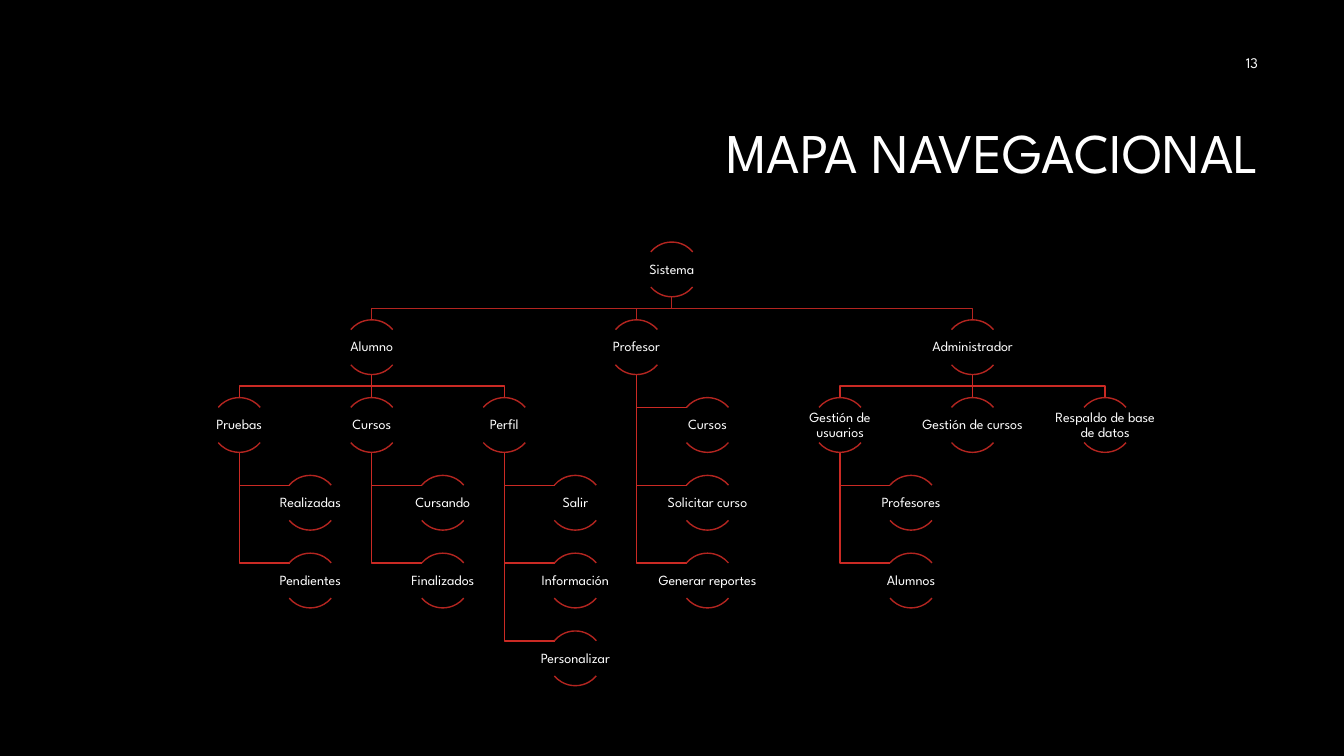
"""Build the navigation map slide."""
import pptx
import pptx.dml.color
import pptx.enum.shapes
import pptx.enum.text
import pptx.oxml
import pptx.util

Cm = pptx.util.Cm
Pt = pptx.util.Pt
ALIGN = pptx.enum.text.PP_ALIGN
FONT = "League Spartan"
INK = {"back": "000000", "text": "FFFFFF", "ring": "B32520", "branch": "CA2A24"}

TOP, PITCH, SIZE = 6.1, 1.96, 1.38
INSET, INDENT, REACH = 0.25, 1.79, 1.27
WIDE, HIGH = 2.77, 0.89
ARCS = ((132, 192), (24, 84))

TREE = ("Sistema", 16.93, [
    ("Alumno", 9.37, [
        ("Pruebas", 6.03, ["Realizadas", "Pendientes"]),
        ("Cursos", 9.37, ["Cursando", "Finalizados"]),
        ("Perfil", 12.71, ["Salir", "Información", "Personalizar"]),
    ]),
    ("Profesor", 16.04, ["Cursos", "Solicitar curso", "Generar reportes"]),
    ("Administrador", 24.51, [
        ("Gestión de usuarios", 21.17, ["Profesores", "Alumnos"]),
        ("Gestión de cursos", 24.51, []),
        ("Respaldo de base de datos", 27.85, []),
    ]),
])


def tint(name):
    return pptx.dml.color.RGBColor.from_string(INK[name])


def top(row):
    return TOP + row * PITCH


def walk(node, row, nodes, links):
    name, x, kids = node
    nodes.append((name, x, row))
    ink = "branch" if row else "ring"
    start = top(row) + SIZE
    for step, kid in enumerate(kids, 1):
        if isinstance(kid, str):
            y = top(row + step) + INSET
            nodes.append((kid, x + INDENT, row + step))
            links.append(([(x, start), (x, y), (x + REACH, y)], ink))
        else:
            end = top(row + 1)
            mid = (start + end) / 2
            path = [(x, start), (x, mid), (kid[1], mid), (kid[1], end)]
            links.append((path, ink))
            walk(kid, row + 1, nodes, links)


def stroke(line, ink):
    line.color.rgb = tint(ink)
    line.width = Pt(1)


def add_link(shapes, path, ink):
    dots = [(Cm(x), Cm(y)) for x, y in path]
    if dots[0][0] == dots[-1][0]:
        kind = pptx.enum.shapes.MSO_CONNECTOR.STRAIGHT
        link = shapes.add_connector(kind, *dots[0], *dots[-1])
        stroke(link.line, ink)
        spot = link._element.spPr
        spot.append(pptx.oxml.parse_xml(
            '<a:effectLst xmlns:a="http://schemas.openxmlformats.org/drawingml/2006/main"/>'))
        return
    pen = shapes.build_freeform(*dots[0])
    pen.add_line_segments(dots[1:], close=False)
    link = pen.convert_to_shape()
    link.fill.background()
    link.shadow.inherit = False
    stroke(link.line, ink)


def style(frame, text, size, align):
    frame.text = text
    frame.word_wrap = True
    frame.vertical_anchor = pptx.enum.text.MSO_ANCHOR.MIDDLE
    para = frame.paragraphs[0]
    para.alignment = align
    para.line_spacing = 0.9
    font = para.runs[0].font
    font.name, font.size = FONT, Pt(size)
    font.color.rgb = tint("text")


def add_node(shapes, name, x, row):
    for ends in ARCS:
        arc = shapes.add_shape(pptx.enum.shapes.MSO_SHAPE.ARC, Cm(x - SIZE / 2),
                               Cm(top(row)), Cm(SIZE), Cm(SIZE))
        arc.adjustments[0], arc.adjustments[1] = ends
        arc.fill.background()
        arc.shadow.inherit = False
        stroke(arc.line, "ring")
    box = shapes.add_textbox(Cm(x - WIDE / 2), Cm(top(row) + INSET), Cm(WIDE), Cm(HIGH))
    frame = box.text_frame
    frame.margin_left = frame.margin_right = Cm(0.02)
    frame.margin_top = frame.margin_bottom = Cm(0.02)
    style(frame, name, 10, ALIGN.CENTER)


def add_title(slide, text):
    title = slide.shapes.title
    title.left, title.top = Cm(8.05), Cm(2.13)
    title.width, title.height = Cm(23.93), Cm(3.58)
    style(title.text_frame, text, 40, ALIGN.RIGHT)


def add_page(slide, text):
    box = slide.shapes.add_textbox(Cm(24.33), Cm(1.07), Cm(7.62), Cm(1.02))
    style(box.text_frame, text, 10.5, ALIGN.RIGHT)
    box.text_frame.paragraphs[0].line_spacing = 1.0


def main():
    deck = pptx.Presentation()
    deck.slide_width, deck.slide_height = Cm(33.87), Cm(19.05)
    slide = deck.slides.add_slide(deck.slide_layouts[5])
    fill = slide.background.fill
    fill.solid()
    fill.fore_color.rgb = tint("back")
    add_title(slide, "MAPA NAVEGACIONAL")
    nodes, links = [], []
    walk(TREE, 0, nodes, links)
    shapes = slide.shapes.add_group_shape().shapes
    for path, ink in links:
        add_link(shapes, path, ink)
    for name, x, row in nodes:
        add_node(shapes, name, x, row)
    add_page(slide, "13")
    deck.save("out.pptx")


if __name__ == "__main__":
    main()
